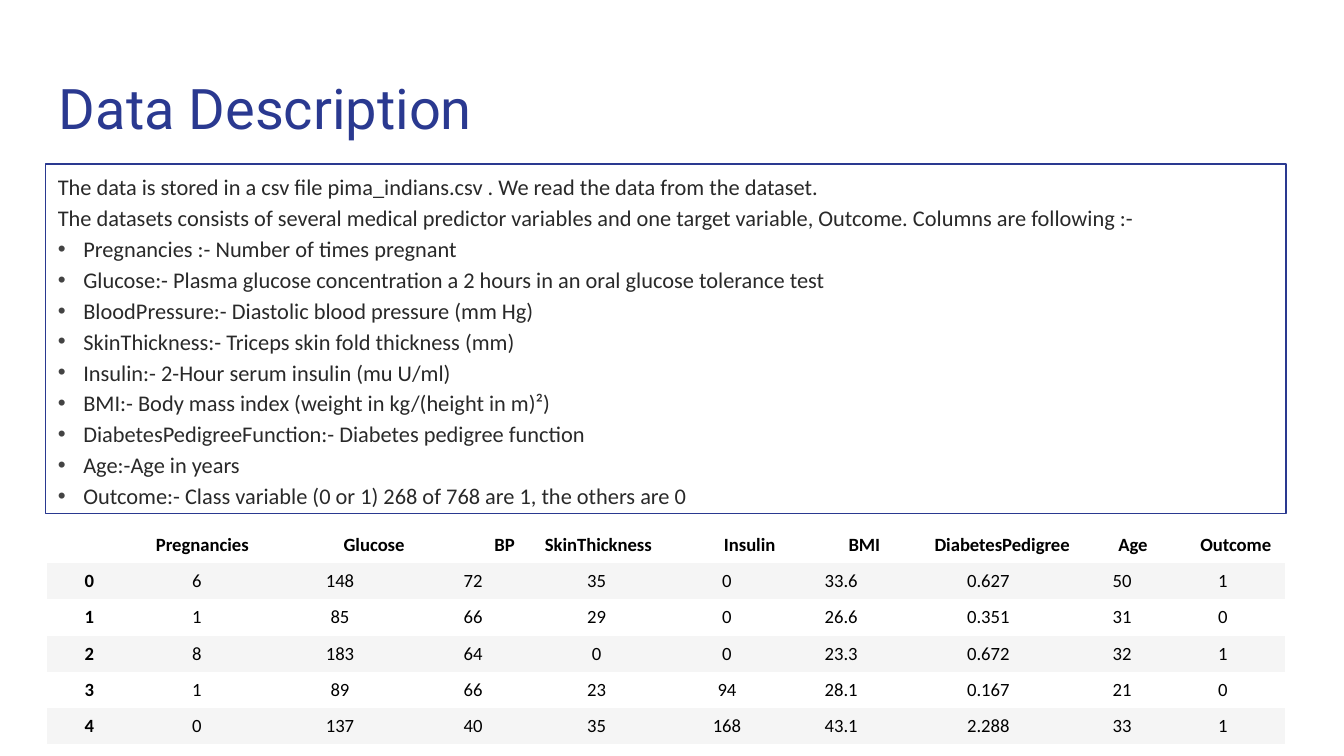
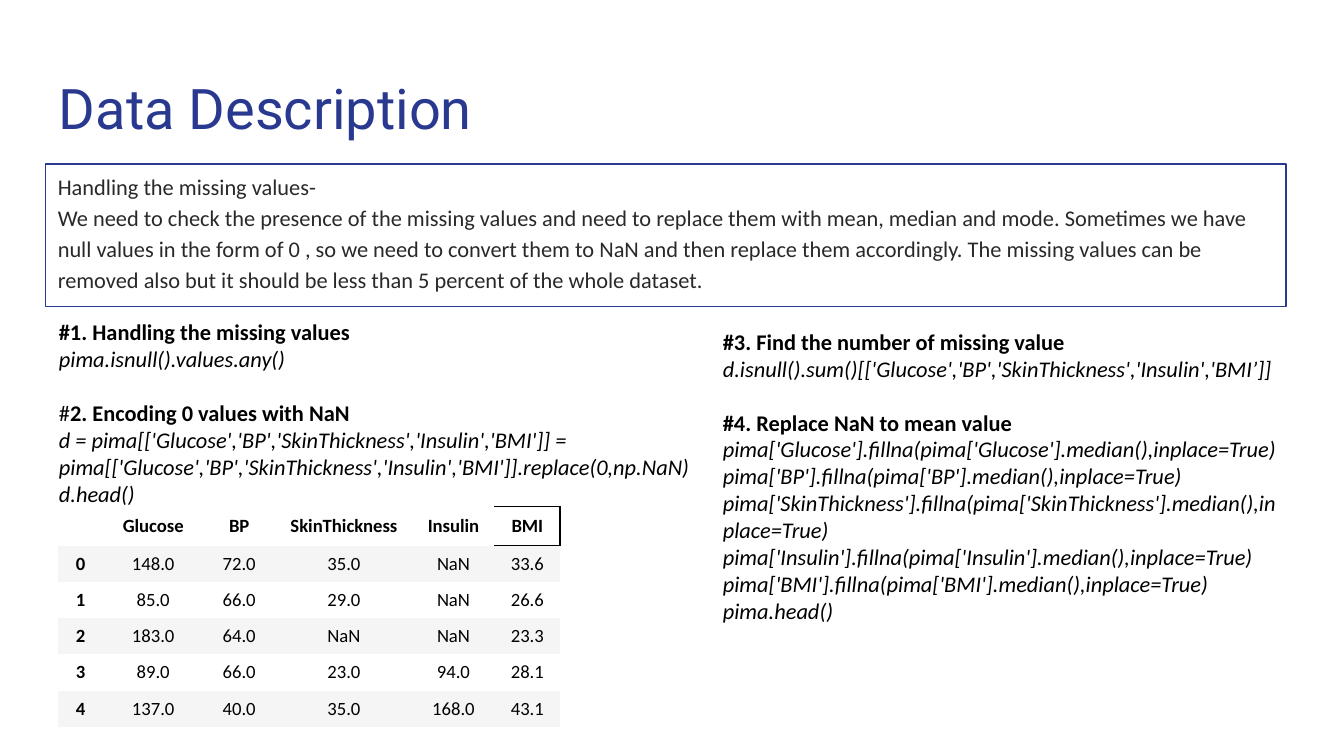
import lxml.etree
import pptx
import pptx.util
import pptx.dml.color
import pptx.enum.shapes
import pptx.enum.text
import pptx.oxml.ns

Inches, Pt = pptx.util.Inches, pptx.util.Pt
RGB = pptx.dml.color.RGBColor.from_string
ALIGN = pptx.enum.text.PP_ALIGN
qn = pptx.oxml.ns.qn

COLORS = {"navy": "2A3990", "body": "292929", "bullet": "434343",
          "black": "000000", "white": "FFFFFF", "band": "F5F5F5"}
STYLES = {
    "title": dict(name="Roboto", size=Pt(30), color="navy"),
    "body": dict(name="Calibri", size=Pt(12), color="body"),
    "head": dict(name="Calibri", size=Pt(12), color="black", bold=True),
    "plain": dict(name="Calibri", size=Pt(12), color="black"),
    "code": dict(name="Calibri", size=Pt(12), color="black", italic=True),
    "label": dict(name="Calibri", size=Pt(10), color="black", bold=True),
    "value": dict(name="Calibri", size=Pt(10), color="black"),
}
NO_GRID = "{2D5ABB26-0587-4C30-8999-92F81FD0307C}"


def add_run(p, text, style):
    r = p.add_run()
    r.text = text
    for key, value in STYLES[style].items():
        if key == "color":
            r.font.color.rgb = RGB(COLORS[value])
        else:
            setattr(r.font, key, value)


def add_box(s, at, inset):
    tf = s.shapes.add_textbox(*map(Inches, at)).text_frame
    tf.word_wrap = True
    for side, value in zip(("left", "top", "right", "bottom"), inset):
        setattr(tf, "margin_" + side, Inches(value))
    return tf


# Widescreen 16:9 page
prs = pptx.Presentation()
prs.slide_width = Inches(10)
prs.slide_height = Inches(10) * 9 // 16

# Content of the two slides
intro = [
    "The data is stored in a csv file pima_indians.csv . We read the data from the dataset.",
    "The datasets consists of several medical predictor variables and one target variable, "
    "Outcome. Columns are following :-",
]
columns = [
    "Pregnancies :- Number of times pregnant",
    "Glucose:- Plasma glucose concentration a 2 hours in an oral glucose tolerance test",
    "BloodPressure:- Diastolic blood pressure (mm Hg)",
    "SkinThickness:- Triceps skin fold thickness (mm)",
    "Insulin:- 2-Hour serum insulin (mu U/ml)",
    "BMI:- Body mass index (weight in kg/(height in m)²)",
    "DiabetesPedigreeFunction:- Diabetes pedigree function",
    "Age:-Age in years",
    "Outcome:- Class variable (0 or 1) 268 of 768 are 1, the others are 0",
]
missing = [
    "Handling the missing values-",
    "We need to check the presence of the missing values and need to replace them with mean, "
    "median and mode. Sometimes we have null values in the form of 0 , so we need to convert "
    "them to NaN and then replace them accordingly. The missing values can be removed also but "
    "it should be less than 5 percent of the whole dataset.",
]
raw_data = [
    ["", "Pregnancies", "Glucose", "BP", "SkinThickness", "Insulin", "BMI",
     "DiabetesPedigree", "Age", "Outcome"],
    ["0", "6", "148", "72", "35", "0", "33.6", "0.627", "50", "1"],
    ["1", "1", "85", "66", "29", "0", "26.6", "0.351", "31", "0"],
    ["2", "8", "183", "64", "0", "0", "23.3", "0.672", "32", "1"],
    ["3", "1", "89", "66", "23", "94", "28.1", "0.167", "21", "0"],
    ["4", "0", "137", "40", "35", "168", "43.1", "2.288", "33", "1"],
]
encoded_data = [
    ["", "Glucose", "BP", "SkinThickness", "Insulin", "BMI"],
    ["0", "148.0", "72.0", "35.0", "NaN", "33.6"],
    ["1", "85.0", "66.0", "29.0", "NaN", "26.6"],
    ["2", "183.0", "64.0", "NaN", "NaN", "23.3"],
    ["3", "89.0", "66.0", "23.0", "94.0", "28.1"],
    ["4", "137.0", "40.0", "35.0", "168.0", "43.1"],
]
slides = [
    dict(frame=2.6, text=intro, bullets=columns, rows=raw_data, at=(0.35, 3.92),
         widths=[0.63, 0.97, 1.16, 0.82, 1.02, 0.92, 0.78, 1.41, 0.58, 0.92],
         head_height=0.27, head_align=ALIGN.RIGHT, plain_fill="white"),
    dict(frame=1.06, text=missing, bullets=[], rows=encoded_data, at=(0.43, 3.77),
         widths=[0.34, 0.74, 0.54, 1.02, 0.61, 0.49],
         head_height=0.29, head_align=ALIGN.CENTER, plain_fill=None),
]

for content in slides:
    s = prs.slides.add_slide(prs.slide_layouts[6])

    # Title
    p = add_box(s, (0.34, 0.45, 9.32, 0.66), [0.1] * 4).paragraphs[0]
    add_run(p, "Data Description", "title")

    # Framed description
    sp = s.shapes.add_shape(pptx.enum.shapes.MSO_SHAPE.RECTANGLE, Inches(0.34),
                            Inches(1.22), Inches(9.23), Inches(content["frame"]))
    sp.shadow.inherit = False
    sp.fill.background()
    sp.line.color.rgb = RGB(COLORS["navy"])
    sp.line.width = Pt(0.75)
    tf = add_box(s, (0.43, 1.26, 8.88, content["frame"] - 0.04), [0] * 4)
    for i, text in enumerate(content["text"] + content["bullets"]):
        p = tf.add_paragraph() if i else tf.paragraphs[0]
        p.line_spacing = 1.15
        add_run(p, text, "body")
        if i >= len(content["text"]):
            pPr = p._p.get_or_add_pPr()
            pPr.set("marL", str(Inches(0.19)))
            pPr.set("indent", str(-Inches(0.19)))
            color = lxml.etree.SubElement(pPr, qn("a:buClr"))
            lxml.etree.SubElement(color, qn("a:srgbClr")).set("val", COLORS["bullet"])
            lxml.etree.SubElement(pPr, qn("a:buFont")).set("typeface", "Arial")
            lxml.etree.SubElement(pPr, qn("a:buChar")).set("char", "•")

    # Data table
    rows, widths = content["rows"], content["widths"]
    heights = [content["head_height"]] + [0.27] * (len(rows) - 1)
    left, top = content["at"]
    table = s.shapes.add_table(len(rows), len(widths), Inches(left), Inches(top),
                               Inches(sum(widths)), Inches(sum(heights))).table
    table._tbl.tblPr.find(qn("a:tableStyleId")).text = NO_GRID
    table.first_row = table.horz_banding = False
    for col, width in zip(table.columns, widths):
        col.width = Inches(width)
    for i, row in enumerate(rows):
        table.rows[i].height = Inches(heights[i])
        fill = "band" if i % 2 else content["plain_fill"]
        for j, text in enumerate(row):
            cell = table.cell(i, j)
            cell.vertical_anchor = pptx.enum.text.MSO_ANCHOR.MIDDLE
            if fill:
                cell.fill.solid()
                cell.fill.fore_color.rgb = RGB(COLORS[fill])
            else:
                cell.fill.background()
            p = cell.text_frame.paragraphs[0]
            p.alignment = ALIGN.CENTER if i else content["head_align"]
            if text:
                add_run(p, text, "value" if i and j else "label")
            else:
                lxml.etree.SubElement(p._p, qn("a:endParaRPr")).set("sz", "1000")

# Outlined BMI heading in the second table
tcPr = table.cell(0, len(widths) - 1)._tc.get_or_add_tcPr()
for i, side in enumerate(("a:lnR", "a:lnT", "a:lnB")):
    ln = lxml.etree.Element(qn(side), w=str(Pt(1)))
    fill = lxml.etree.SubElement(ln, qn("a:solidFill"))
    lxml.etree.SubElement(fill, qn("a:srgbClr")).set("val", COLORS["black"])
    tcPr.insert(i, ln)

# Code notes on the second slide
fields = "[['Glucose','BP','SkinThickness','Insulin','BMI']]"
fill_lines = [f"pima['{name}'].fillna(pima['{name}'].median(),inplace=True)"
              for name in ("Glucose", "BP", "SkinThickness", "Insulin", "BMI")]
notes = [
    ((0.34, 2.32, 5.16, 1.51), [
        [("#1. Handling the missing values", "head")],
        [("pima.isnull().values.any()", "code")],
        [("#", "plain"), ("2. Encoding 0 values with NaN", "head")],
        [(f"d = pima{fields} = pima{fields}.replace(0,np.NaN)", "code")],
        [("d.head()", "code")]]),
    ((5.28, 2.39, 4.38, 2.32), [
        [("#3. Find the number of missing value", "head")],
        [("d.isnull().sum()[['Glucose','BP','SkinThickness','Insulin','BMI’]]", "code")],
        [("#4. Replace NaN to mean value", "head")],
        *[[(line, "code")] for line in fill_lines + ["pima.head()"]]]),
]
for at, paragraphs in notes:
    tf = add_box(s, at, (0.1, 0.05, 0.1, 0.05))
    for i, runs in enumerate(paragraphs):
        p = tf.add_paragraph() if i else tf.paragraphs[0]
        if i and runs[0][1] != "code":
            p.space_before = Pt(14.5)
        for text, style in runs:
            add_run(p, text, style)

prs.save("out.pptx")
